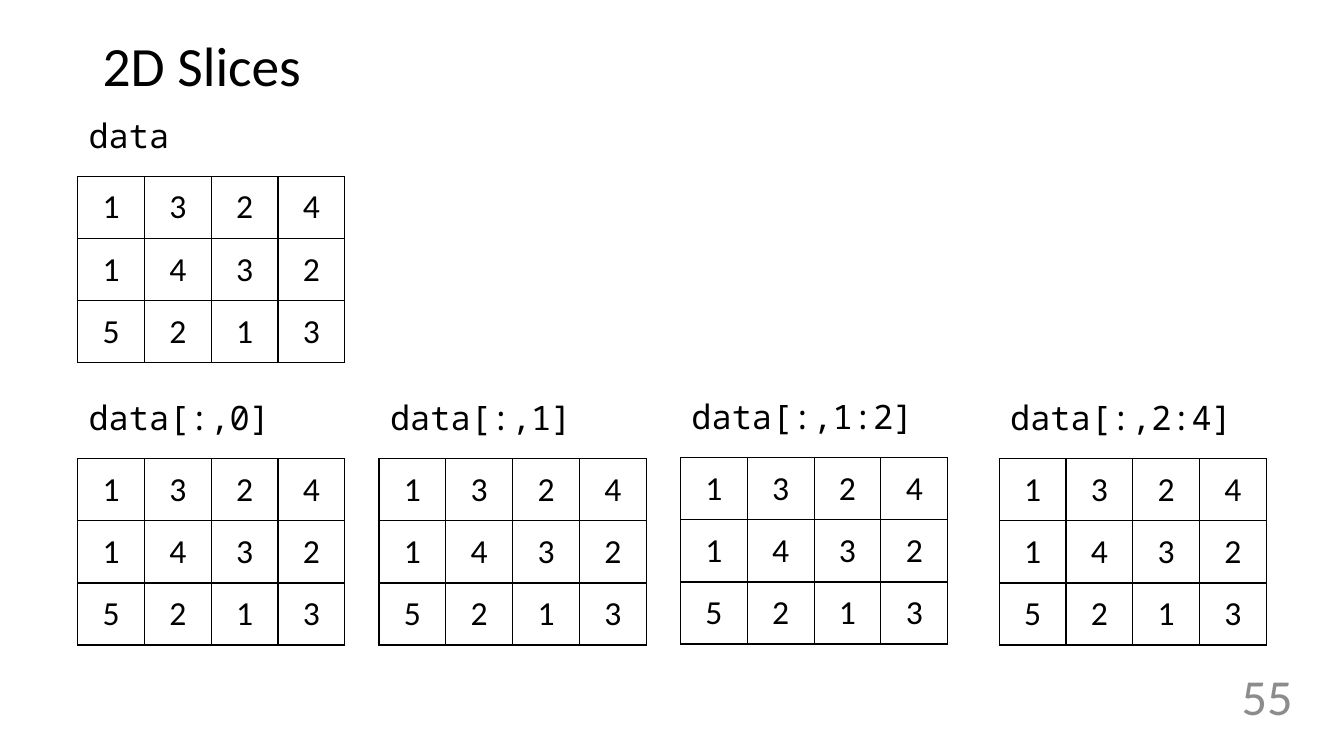
from dataclasses import dataclass
from lxml.etree import SubElement
from pptx import Presentation
from pptx.dml.color import RGBColor
from pptx.enum.text import MSO_ANCHOR, MSO_AUTO_SIZE, PP_ALIGN
from pptx.oxml.ns import qn
from pptx.util import Inches, Pt

TITLE = "2D Slices"
NUMBER = "55"
DATA = [(1, 3, 2, 4), (1, 4, 3, 2), (5, 2, 1, 3)]
GRIDS = [
    ("data", 0.77, 1.75),
    ("data[:,0]", 0.77, 4.55),
    ("data[:,1]", 3.76, 4.55),
    ("data[:,1:2]", 6.75, 4.54),
    ("data[:,2:4]", 9.91, 4.55),
]


@dataclass(frozen=True)
class Theme:
    sans: str = "Calibri"
    mono: str = "Noto Sans Mono"
    ink: str = "000000"
    gray: str = "8C8C8C"
    title: float = 39.6
    number: float = 36
    body: float = 24
    rule: float = 1


THEME = Theme()
WIDE, HIGH = 2.65, 1.85
LIFT, INSET = 0.66, 0.01


def write(frame, text, size, font=THEME.sans, color=THEME.ink, align=PP_ALIGN.LEFT):
    par = frame.paragraphs[0]
    par.alignment = align
    run = par.add_run()
    run.text = text
    run.font.size = Pt(size)
    run.font.name = font
    run.font.color.rgb = RGBColor.from_string(color)
    return par


def box(slide, left, top, width, height, anchor=MSO_ANCHOR.MIDDLE):
    frame = slide.shapes.add_textbox(*map(Inches, (left, top, width, height))).text_frame
    frame.word_wrap = True
    frame.vertical_anchor = anchor
    return frame


def border(cell):
    props = cell._tc.get_or_add_tcPr()
    for side in "LRTB":
        line = SubElement(props, qn(f"a:ln{side}"), w=str(Pt(THEME.rule)))
        fill = SubElement(line, qn("a:solidFill"))
        SubElement(fill, qn("a:srgbClr"), val=THEME.ink)


def grid(slide, label, left, top):
    rows, cols = len(DATA), len(DATA[0])
    table = slide.shapes.add_table(
        rows, cols, *map(Inches, (left, top, WIDE, HIGH))
    ).table
    table.first_row = table.horz_banding = False
    for r, row in enumerate(DATA):
        for c, value in enumerate(row):
            cell = table.cell(r, c)
            border(cell)
            cell.fill.background()
            cell.vertical_anchor = MSO_ANCHOR.MIDDLE
            write(cell.text_frame, str(value), THEME.body, align=PP_ALIGN.CENTER)
    frame = box(slide, left + INSET, top - LIFT, WIDE - INSET, 0.5, MSO_ANCHOR.TOP)
    frame.auto_size = MSO_AUTO_SIZE.SHAPE_TO_FIT_TEXT
    write(frame, label, THEME.body, THEME.mono)


def main():
    deck = Presentation()
    deck.slide_width, deck.slide_height = Inches(13.33), Inches(7.5)
    slide = deck.slides.add_slide(deck.slide_layouts[6])
    head = write(box(slide, 0.92, 0.4, 11.5, 0.55), TITLE, THEME.title)
    head.line_spacing = 0.9
    foot = box(slide, 11.67, 6.47, 1.25, 0.86)
    write(foot, NUMBER, THEME.number, color=THEME.gray, align=PP_ALIGN.RIGHT)
    for item in GRIDS:
        grid(slide, *item)
    deck.save("out.pptx")


if __name__ == "__main__":
    main()
